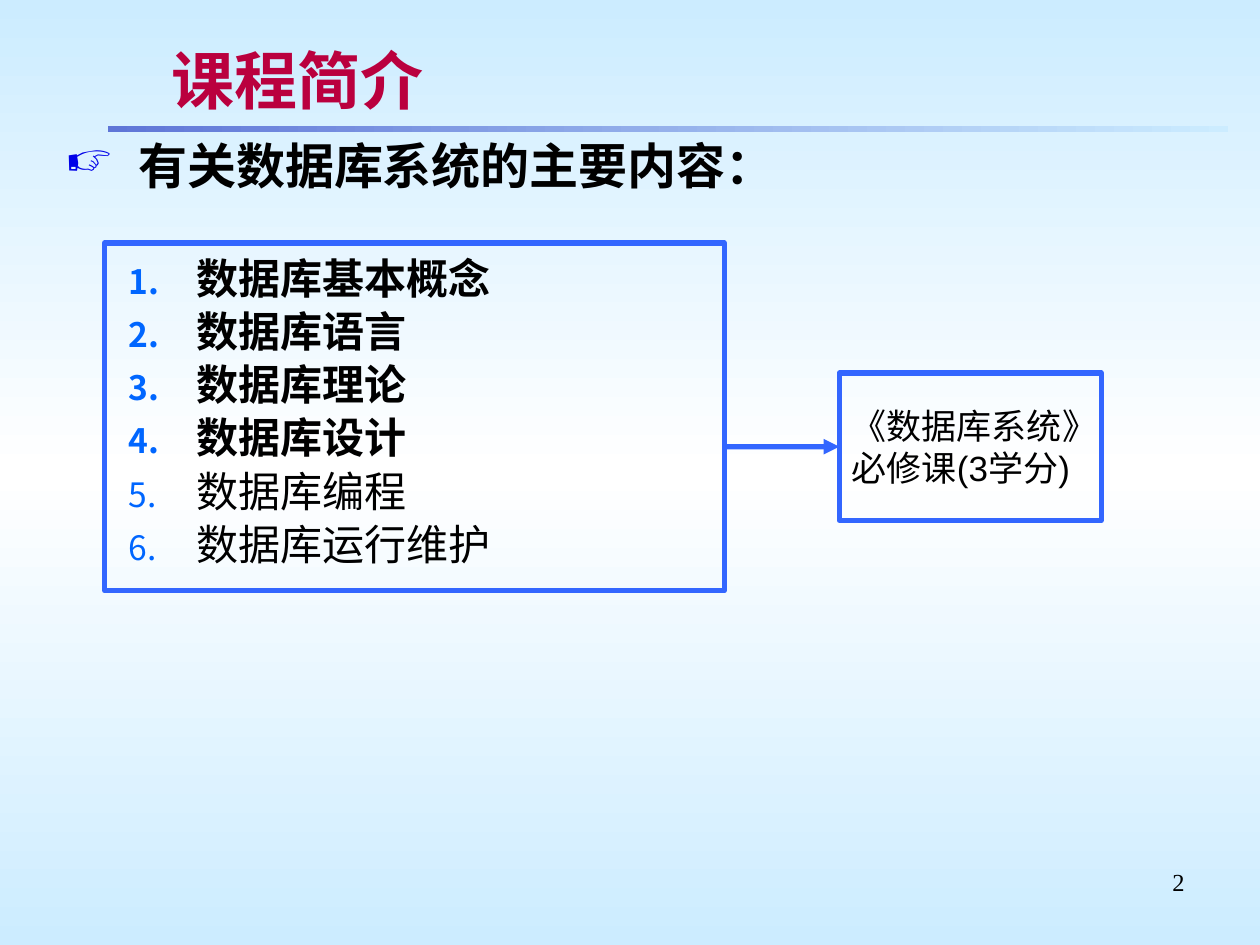
from copy import deepcopy

from lxml.etree import SubElement
from pptx import Presentation
from pptx.dml.color import RGBColor
from pptx.enum.shapes import MSO_CONNECTOR as Connector, MSO_SHAPE as Shape
from pptx.enum.text import MSO_ANCHOR as Anchor, MSO_AUTO_SIZE as AutoSize, PP_ALIGN as Align
from pptx.oxml import parse_xml
from pptx.oxml.ns import nsdecls, qn
from pptx.util import Cm, Pt

BLACK, BLUE, SKY = "000000", "3366FF", "CCECFF"
SERIF, SANS = "Times New Roman", "Arial"
TOPICS = ["数据库基本概念", "数据库语言", "数据库理论", "数据库设计", "数据库编程", "数据库运行维护"]
CORE_TOPICS = 4


def rgb(value):
    return RGBColor.from_string(value)


def cm_box(*lengths):
    return [Cm(length) for length in lengths]


def style(paragraph, size, font=SERIF, color=BLACK, bold=False, align=Align.LEFT):
    paragraph.alignment = align
    for run in paragraph.runs:
        run.font.size = Pt(size)
        run.font.name = font
        run.font.bold = bold
        run.font.color.rgb = rgb(color)


def add_bullet(paragraph, color, percent, indent, tag, **attributes):
    properties = paragraph._p.get_or_add_pPr()
    properties.set("marL", str(Cm(indent)))
    properties.set("indent", str(-Cm(indent)))
    bullet_color = SubElement(properties, qn("a:buClr"))
    SubElement(bullet_color, qn("a:srgbClr"), val=color)
    SubElement(properties, qn("a:buSzPct"), val=str(percent * 1000))
    SubElement(properties, qn(tag), **attributes)


def set_stops(fill, colors):
    for stop, color in zip(fill.gradient_stops, colors):
        stop.color.rgb = rgb(color)


def paint_background(slide):
    fill = slide.background.fill
    fill.gradient()
    fill.gradient_angle = 90
    stops = slide.element.find(".//" + qn("a:gsLst"))
    stops.insert(1, deepcopy(stops[0]))
    fill.gradient_stops[1].position = 0.5
    set_stops(fill, [SKY, "FFFFFF", SKY])


def add_title(slide, left, top, width, height):
    title = slide.shapes.title
    title.left, title.top, title.width, title.height = cm_box(left, top, width, height)
    frame = title.text_frame
    frame.text = "课程简介"
    frame.auto_size = AutoSize.NONE
    frame.vertical_anchor = Anchor.MIDDLE
    style(frame.paragraphs[0], 36, color="BA003E", bold=True)
    run_fill = frame.paragraphs[0].runs[0].font._element.find(qn("a:solidFill"))
    run_fill.addnext(parse_xml(
        f'<a:effectLst {nsdecls("a")}><a:outerShdw dist="25400" dir="2700000">'
        '<a:srgbClr val="C0C0C0"/></a:outerShdw></a:effectLst>'))

    rule = slide.shapes.add_shape(
        Shape.RECTANGLE, *cm_box(left - 1.02, top + 1.8, width + 1.65, 0.13))
    rule.shadow.inherit = False
    rule.line.fill.background()
    rule.fill.gradient()
    rule.fill.gradient_angle = 0
    set_stops(rule.fill, ["5F76D7", SKY])


def add_text(slide, text, left, top, width, height):
    frame = slide.shapes.add_textbox(*cm_box(left, top, width, height)).text_frame
    frame.word_wrap = True
    frame.text = text
    return frame.paragraphs[0]


def add_heading(slide, left, top, width, height):
    heading = add_text(slide, "有关数据库系统的主要内容：", left, top, width, height)
    heading.line_spacing = 0.9
    add_bullet(heading, "0000E8", 95, 1.47, "a:buChar", char="☞")
    style(heading, 28, bold=True)


def add_outlined_box(slide, text, left, top, width, height):
    box = slide.shapes.add_shape(Shape.RECTANGLE, *cm_box(left, top, width, height))
    box.shadow.inherit = False
    box.fill.background()
    box.line.color.rgb = rgb(BLUE)
    box.line.width = Pt(3)
    box.text_frame.text = text
    return box


def add_topics(slide, left, top, width, height):
    frame = add_outlined_box(slide, "\n".join(TOPICS), left, top, width, height).text_frame
    frame.vertical_anchor = Anchor.TOP
    frame.margin_left, frame.margin_top = Cm(0.48), Cm(0.3)
    for index, topic in enumerate(frame.paragraphs):
        topic.line_spacing = 0.9
        topic.space_before = Pt(4.5 if index else 0)
        add_bullet(topic, "0066FF", 80, 1.37, "a:buAutoNum", type="arabicPeriod")
        style(topic, 24, bold=index < CORE_TOPICS)


def add_course(slide, arrow_left, left, top, width, height):
    course = add_outlined_box(slide, "《数据库系统》\n必修课(3学分)", left, top, width, height)
    course.text_frame.word_wrap = False
    course.text_frame.vertical_anchor = Anchor.MIDDLE
    for line in course.text_frame.paragraphs:
        style(line, 20, SANS)

    middle = top + height / 2
    arrow = slide.shapes.add_connector(
        Connector.STRAIGHT, *cm_box(arrow_left, middle, left, middle))
    arrow.end_connect(course, 1)
    arrow.line.color.rgb = rgb(BLUE)
    arrow.line.width = Pt(3)
    SubElement(arrow.line._get_or_add_ln(), qn("a:tailEnd"), type="triangle")
    SubElement(arrow._element.spPr, qn("a:effectLst"))


def add_page_number(slide, left, top, width, height):
    style(add_text(slide, "2", left, top, width, height), 14, align=Align.RIGHT)


def main():
    deck = Presentation()
    deck.slide_width, deck.slide_height = Cm(25.4), Cm(19.05)
    slide = deck.slides.add_slide(deck.slide_layouts[5])
    paint_background(slide)
    add_title(slide, 3.2, 0.74, 20.93, 1.7)
    add_heading(slide, 1.07, 2.74, 23.5, 1.4)
    add_topics(slide, 2.11, 4.9, 12.49, 7.01)
    add_course(slide, 14.6, 16.92, 7.52, 5.28, 2.97)
    add_page_number(slide, 18.21, 17.35, 5.92, 1.32)
    deck.save("out.pptx")


if __name__ == "__main__":
    main()
